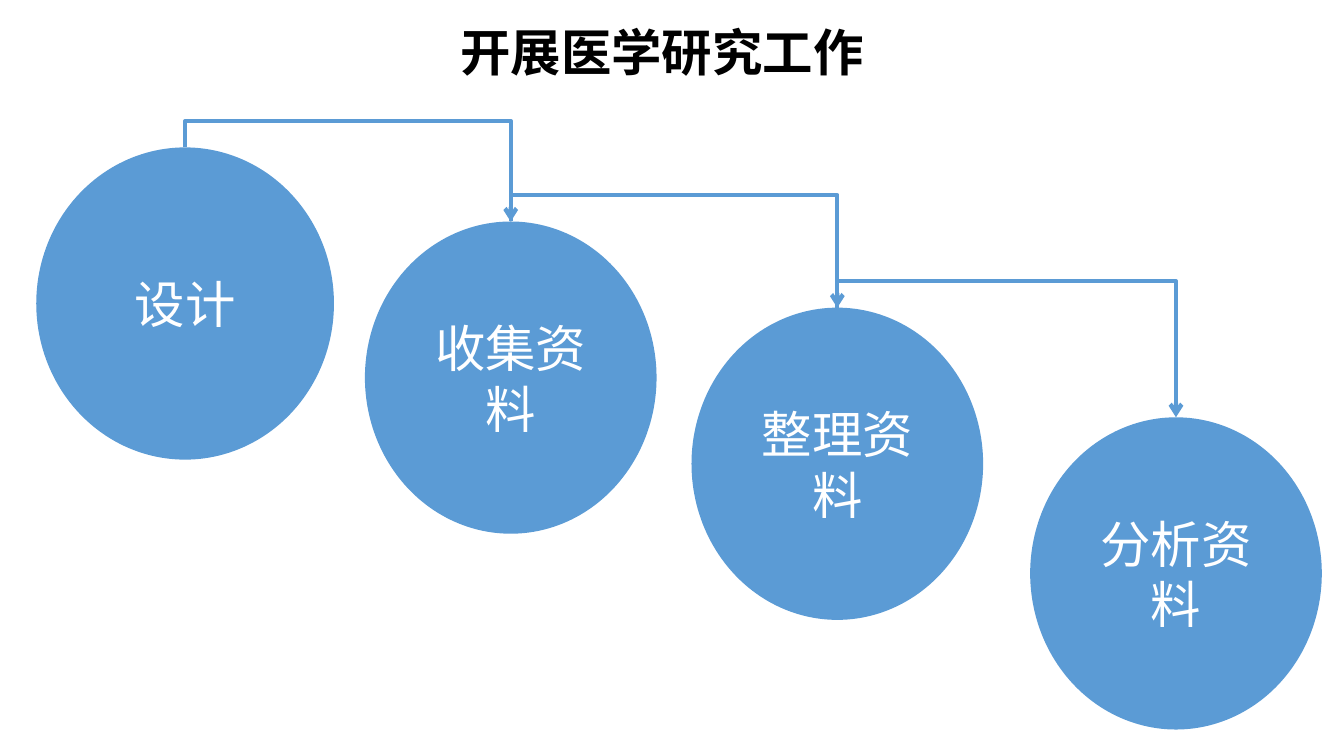
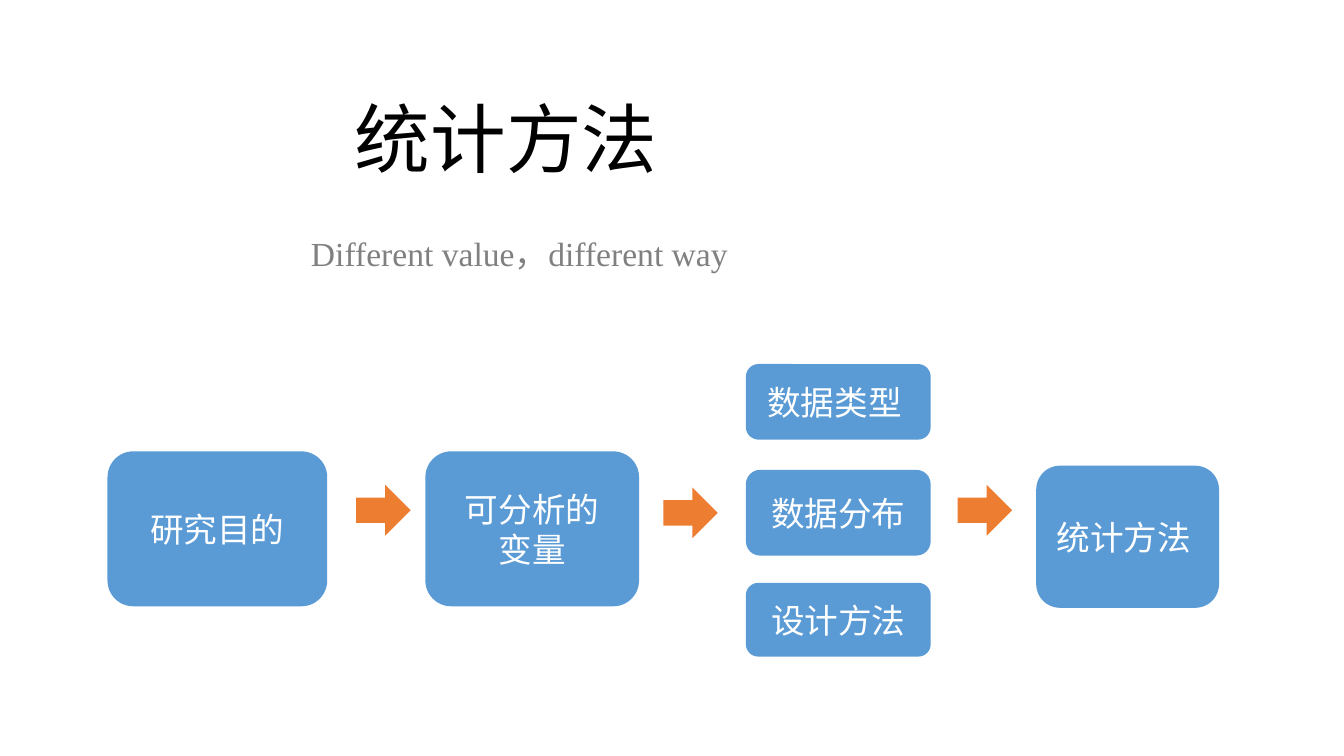
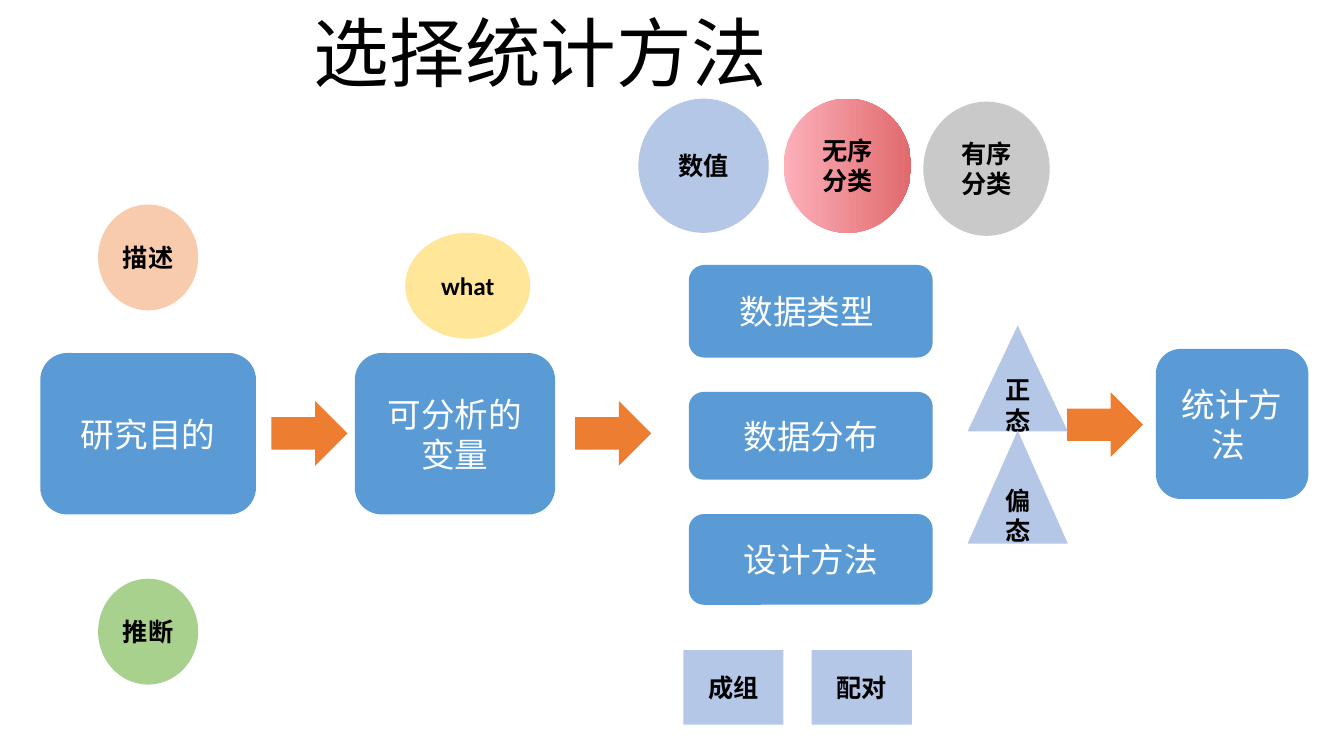
"""Build three slides on medical research work and the choice of statistical methods."""
import dataclasses
import itertools

import pptx
import pptx.dml.color
import pptx.enum.dml
import pptx.enum.shapes
import pptx.enum.text
import pptx.oxml.ns
import pptx.util
from lxml import etree


@dataclasses.dataclass(frozen=True)
class Theme:
    blue: str = "5B9BD5"
    orange: str = "ED7D31"
    pale_blue: str = "B4C7E7"
    peach: str = "F8CBAD"
    green: str = "A9D18E"
    yellow: str = "FFE699"
    silver: str = "C9C9C9"
    pink: str = "FDB0BA"
    red: str = "E06A6D"
    black: str = "000000"
    white: str = "FFFFFF"
    grey: str = "808080"
    latin: str = "Calibri"
    chinese: str = "Noto Sans CJK SC"
    headline: str = "Noto Sans CJK JP"
    serif: str = "Times New Roman"
    title_size: int = 54
    large_size: int = 36
    box_size: int = 24
    note_size: int = 18


theme = Theme()
Kind = pptx.enum.shapes.MSO_SHAPE
Align = pptx.enum.text.PP_ALIGN
Anchor = pptx.enum.text.MSO_ANCHOR
qn = pptx.oxml.ns.qn
rgb = pptx.dml.color.RGBColor.from_string

deck = pptx.Presentation()
deck.slide_width = pptx.util.Inches(13.33)
deck.slide_height = pptx.util.Inches(7.5)
COLUMN = deck.slide_width / 100
ROW = deck.slide_height / 100


def write(box, text, size=theme.box_size, color=theme.white, font=theme.latin,
          asian=theme.chinese, bold=False, align=Align.CENTER,
          anchor=Anchor.MIDDLE, spacing=None, grow=False):
    """Put formatted text in a box."""
    frame = box.text_frame
    frame.word_wrap = True
    frame.vertical_anchor = anchor
    if grow:
        frame.auto_size = pptx.enum.text.MSO_AUTO_SIZE.SHAPE_TO_FIT_TEXT
    frame.text = text
    for para in frame.paragraphs:
        para.alignment = align
        para.line_spacing = spacing
        for span in para.runs:
            span.font.size = pptx.util.Pt(size)
            span.font.bold = bold
            span.font.name = font
            span.font.color.rgb = rgb(color)
            etree.SubElement(span.font._element, qn("a:ea"), typeface=asian)


def draw(page, kind, left, top, width, height, fill):
    """Draw a borderless shape placed in hundredths of the slide."""
    shape = page.shapes.add_shape(kind, round(left * COLUMN), round(top * ROW),
                                  round(width * COLUMN), round(height * ROW))
    shape.shadow.inherit = False
    shape.line.fill.background()
    shape.fill.solid()
    shape.fill.fore_color.rgb = rgb(fill)
    return shape


heading = dict(color=theme.black, align=Align.LEFT, anchor=Anchor.TOP, grow=True)
titles = [
    ("开展医学研究工作", (33.5, 2.1, 43.35, 9.5),
     dict(size=theme.large_size, font=theme.headline, asian=theme.headline, bold=True)),
    ("统计方法", (25.65, 11.5, 48.6, 13.5),
     dict(size=theme.title_size, font=theme.chinese)),
    ("选择统计方法", (22.6, 0.1, 48.6, 13.5),
     dict(size=theme.title_size, font=theme.chinese)),
]
pages = []
for text, (left, top, width, height), style in titles:
    page = deck.slides.add_slide(deck.slide_layouts[5])
    title = page.shapes.title
    title.left, title.width = round(left * COLUMN), round(width * COLUMN)
    title.top, title.height = round(top * ROW), round(height * ROW)
    write(title, text, **{**heading, **style})
    pages.append(page)
work_page, method_page, choice_page = pages

steps = []
for text, left, top, width in [
    ("设计", 2.7, 19.5, 22.15),
    ("收集资料", 27.15, 29.3, 21.7),
    ("整理资料", 51.45, 40.7, 21.7),
    ("分析资料", 76.65, 55.2, 21.7),
]:
    step = draw(work_page, Kind.OVAL, left, top, width, 41.3, theme.blue)
    write(step, text, size=theme.large_size)
    steps.append(step)

lift = 3.5 * ROW
for start, finish in itertools.pairwise(steps):
    start_x = start.left + start.width // 2
    finish_x = finish.left + finish.width // 2
    run, drop = finish_x - start_x, finish.top - start.top
    left = (start_x + finish_x - drop) // 2
    top = (start.top + finish.top - run) // 2
    link = work_page.shapes.add_connector(
        pptx.enum.shapes.MSO_CONNECTOR.ELBOW, left + drop, top, left, top + run)
    link.begin_connect(start, 0)
    link.end_connect(finish, 0)
    link.left, link.top, link.width, link.height = left, top, drop, run
    link.line.width = pptx.util.Pt(3)
    link.line.color.rgb = rgb(theme.blue)
    properties = link._element.spPr
    frame = properties.find(qn("a:xfrm"))
    frame.attrib.pop("flipV", None)
    frame.set("flipH", "1")
    frame.set("rot", str(270 * 60000))
    bends = properties.find(qn("a:prstGeom")).get_or_add_avLst()
    etree.SubElement(bends, qn("a:gd"), name="adj1",
                     fmla=f"val {round(-lift / drop * 100000)}")
    etree.SubElement(properties.find(qn("a:ln")), qn("a:tailEnd"), type="arrow")
    etree.SubElement(properties, qn("a:effectLst"))

subtitle = method_page.shapes.add_textbox(
    round(22.4 * COLUMN), round(27.5 * ROW), round(55.2 * COLUMN), round(9.5 * ROW))
write(subtitle, "Different value，different way", spacing=1.5,
      **{**heading, "color": theme.grey, "font": theme.serif})

labels = ["研究目的", "可分析的\n变量", "数据类型 ", "数据分布", "设计方法", "统计方法 "]
flows = [
    (method_page,
     [(8, 59.7, 16.35, 20.5), (31.65, 59.7, 15.9, 20.5),
      (55.5, 48.15, 13.75, 10), (55.5, 62.15, 13.75, 11.35),
      (55.5, 77.1, 13.75, 9.75), (77.1, 61.6, 13.6, 18.8)],
     [(26.5, 64.15), (49.35, 64.5), (71.25, 64.15)], (4.05, 6.7)),
    (choice_page,
     [(3, 46.7, 16.05, 21.35), (26.4, 46.7, 14.9, 21.35),
      (51.25, 35.05, 18.15, 12.25), (51.25, 51.85, 18.15, 11.6),
      (51.25, 68, 18.15, 12), (86, 46.15, 11.35, 19.85)],
     [(20.2, 53.05), (42.8, 53.05), (79.4, 51.9)], (5.65, 8.55)),
]
for page, boxes, arrows, arrow_size in flows:
    for text, place in zip(labels, boxes):
        write(draw(page, Kind.ROUNDED_RECTANGLE, *place, theme.blue), text)
    for place in arrows:
        draw(page, Kind.RIGHT_ARROW, *place, *arrow_size, theme.orange)

notes = [
    ("描述", Kind.OVAL, (7.3, 27.05, 7.45, 14), theme.peach),
    ("推断", Kind.OVAL, (7.3, 76.55, 7.45, 14), theme.green),
    ("what", Kind.OVAL, (30.15, 30.8, 9.3, 14), theme.yellow),
    ("数值", Kind.OVAL, (47.5, 13.05, 9.7, 17.75), theme.pale_blue),
    ("无序分类", Kind.OVAL, (58.3, 13.05, 9.5, 17.75), theme.pink),
    ("有序分类", Kind.OVAL, (68.7, 13.45, 9.4, 17.75), theme.silver),
    ("正态", Kind.ISOSCELES_TRIANGLE, (72, 43.05, 7.45, 14), theme.pale_blue),
    ("偏态", Kind.ISOSCELES_TRIANGLE, (72, 56.95, 7.45, 14.95), theme.pale_blue),
    ("成组", Kind.RECTANGLE, (50.85, 86, 7.45, 9.85), theme.pale_blue),
    ("配对", Kind.RECTANGLE, (60.4, 86, 7.45, 9.85), theme.pale_blue),
]
for text, kind, place, fill in notes:
    note = draw(choice_page, kind, *place, fill)
    write(note, text, size=theme.note_size, color=theme.black, bold=True)
    if fill == theme.pink:
        note.fill.gradient()
        note.fill.gradient_angle = 0
        for stop, color in zip(note.fill.gradient_stops, (theme.pink, theme.red)):
            stop.color.rgb = rgb(color)

deck.save("out.pptx")
